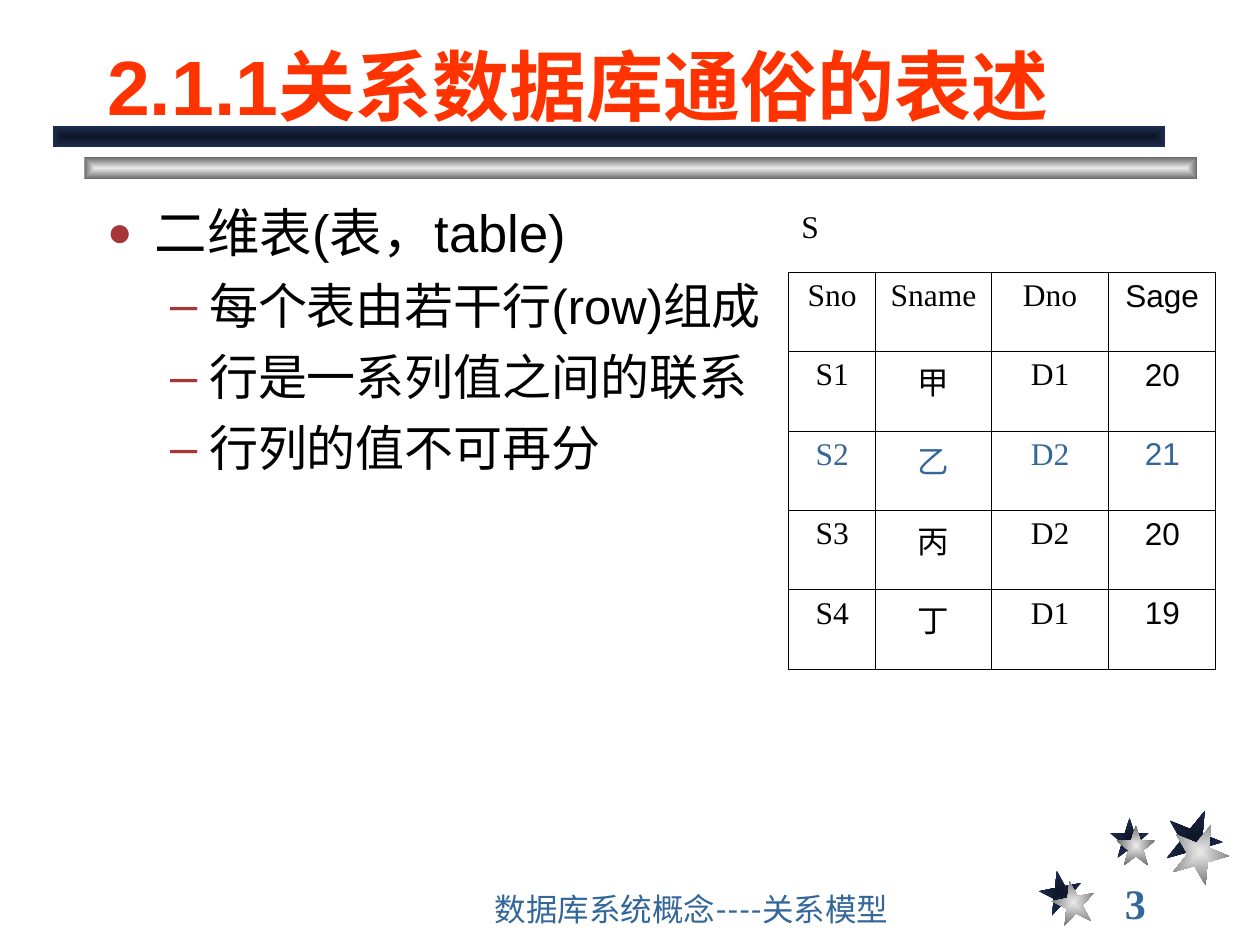
from lxml.etree import SubElement as Sub
from pptx import Presentation
from pptx.dml.color import RGBColor as RGB
from pptx.enum.shapes import MSO_SHAPE as Shape
from pptx.enum.text import MSO_ANCHOR as Anchor, MSO_AUTO_SIZE as Auto, PP_ALIGN as Align
from pptx.oxml.ns import qn
from pptx.util import Inches, Pt

NAVY, GREY = ("0E1526", "1E2E53"), ("EAEAEA", "6C6C6C")
BLUE, BLACK, TIMES = "336699", "000000", "Times New Roman"


def style(para, size, face, color, bold=False):
    font = para.font
    font.size, font.name, font.bold = Pt(size), face, bold
    font.color.rgb = RGB.from_string(color)


def add(parent, tag, **attrs):
    return Sub(parent, qn(tag), {k: str(v) for k, v in attrs.items()})


prs = Presentation()
prs.slide_width, prs.slide_height = Inches(10), Inches(7.5)
slide = prs.slides.add_slide(prs.slide_layouts[1])
shapes = slide.shapes

# Stars in pairs, navy behind grey, then the two bars under the title
star, bar = Shape.STAR_5_POINT, Shape.RECTANGLE
decor = [
    (star, 8.25, 6.91, 0.34, 0.34, -11, NAVY),
    (star, 8.81, 6.49, 0.31, 0.32, 0, NAVY),
    (star, 9.25, 6.42, 0.45, 0.46, 22, NAVY),
    (star, 8.35, 6.99, 0.34, 0.34, -11, GREY),
    (star, 8.86, 6.55, 0.31, 0.32, 0, GREY),
    (star, 9.3, 6.53, 0.45, 0.46, 22, GREY),
    (bar, 0.67, 1.25, 8.83, 0.17, 0, GREY),
    (bar, 0.42, 1, 8.83, 0.17, 0, NAVY),
]
for kind, x, y, w, h, turn, tones in decor:
    item = shapes.add_shape(kind, Inches(x), Inches(y), Inches(w), Inches(h))
    item.rotation = turn
    item.shadow.inherit = False
    item.line.fill.background()
    item.fill.gradient()
    grad = item.fill._xPr.find(qn("a:gradFill"))
    for child in list(grad):
        grad.remove(child)
    stops = add(grad, "a:gsLst")
    for pos, tone in zip((0, 100000), tones):
        add(add(stops, "a:gs", pos=pos), "a:srgbClr", val=tone)
    add(add(grad, "a:path", path="rect"), "a:fillToRect", l=50000, t=50000, r=50000, b=50000)

# Slide number and footer
for text, x, y, w, size, face, bold, anchor in [
    ("3", 8.83, 7, 1.08, 24, TIMES, True, Anchor.MIDDLE),
    ("数据库系统概念----关系模型", 3.83, 7.08, 4.08, 18, "Lato", False, Anchor.BOTTOM),
]:
    frame = shapes.add_textbox(Inches(x), Inches(y), Inches(w), Inches(0.33)).text_frame
    frame.word_wrap, frame.vertical_anchor = True, anchor
    frame.text = text
    style(frame.paragraphs[0], size, face, BLUE, bold)

# Title and body, brought in front of the bars
title, body = shapes.title, slide.placeholders[1]
for holder, x, y, w, h, anchor in [
    (title, 0.75, 0.17, 8.5, 0.92, Anchor.BOTTOM),
    (body, 0.75, 1.54, 8.03, 5.28, Anchor.TOP),
]:
    holder.left, holder.top, holder.width, holder.height = map(Inches, (x, y, w, h))
    holder.text_frame.auto_size = Auto.NONE
    holder.text_frame.vertical_anchor = anchor
    shapes._spTree.append(holder._element)

title.text_frame.text = "2.1.1关系数据库通俗的表述"
head = title.text_frame.paragraphs[0]
head.alignment = Align.LEFT
style(head, 44, "Arial", "FF3300", True)

lines = ["二维表(表，table)", "每个表由若干行(row)组成", "行是一系列值之间的联系", "行列的值不可再分"]
body.text_frame.text = "\n".join(lines)
for i, para in enumerate(body.text_frame.paragraphs):
    level = min(i, 1)
    para.level = level
    para.space_before = Pt(7 * level)
    size, mark, scale, left, hang = [(30, "●", 80, 0.38, 0.38), (28, "–", 100, 0.81, 0.31)][level]
    props = para._p.get_or_add_pPr()
    props.set("marL", str(Inches(left)))
    props.set("indent", str(-Inches(hang)))
    add(add(props, "a:buClr"), "a:srgbClr", val="A73737")
    add(props, "a:buSzPct", val=scale * 1000)
    add(props, "a:buFont", typeface="Arial")
    add(props, "a:buChar", char=mark)
    style(para, size, "Arial", BLACK)

# Table S: a caption row without a frame, then the ruled grid
rows = [
    ["S", "", "", ""],
    ["Sno", "Sname", "Dno", "Sage"],
    ["S1", "甲", "D1", "20"],
    ["S2", "乙", "D2", "21"],
    ["S3", "丙", "D2", "20"],
    ["S4", "丁", "D1", "19"],
]
table = shapes.add_table(6, 4, Inches(6.26), Inches(1.62), Inches(3.39), Inches(3.7)).table
table.first_row = table.horz_banding = False
table._tbl.tblPr.find(qn("a:tableStyleId")).text = "{2D5ABB26-0587-4C30-8999-92F81FD0307C}"
for col, w in zip(table.columns, (0.69, 0.92, 0.93, 0.85)):
    col.width = Inches(w)
for r, row in enumerate(rows):
    table.rows[r].height = Inches(0.63 if r else 0.54)
    for c, text in enumerate(row):
        cell = table.cell(r, c)
        cell.text = text
        para = cell.text_frame.paragraphs[0]
        para.alignment = Align.CENTER if r else Align.LEFT
        style(para, 18, "Arial" if r and c == 3 else TIMES, BLUE if r == 3 else BLACK)
        props = cell._tc.get_or_add_tcPr()
        for side in ("L", "R", "T", "B") if r else ("B",):
            edge = add(props, "a:ln" + side, w=Pt(0.45))
            add(add(edge, "a:solidFill"), "a:srgbClr", val=BLACK)
        cell.fill.background()

prs.save("out.pptx")
